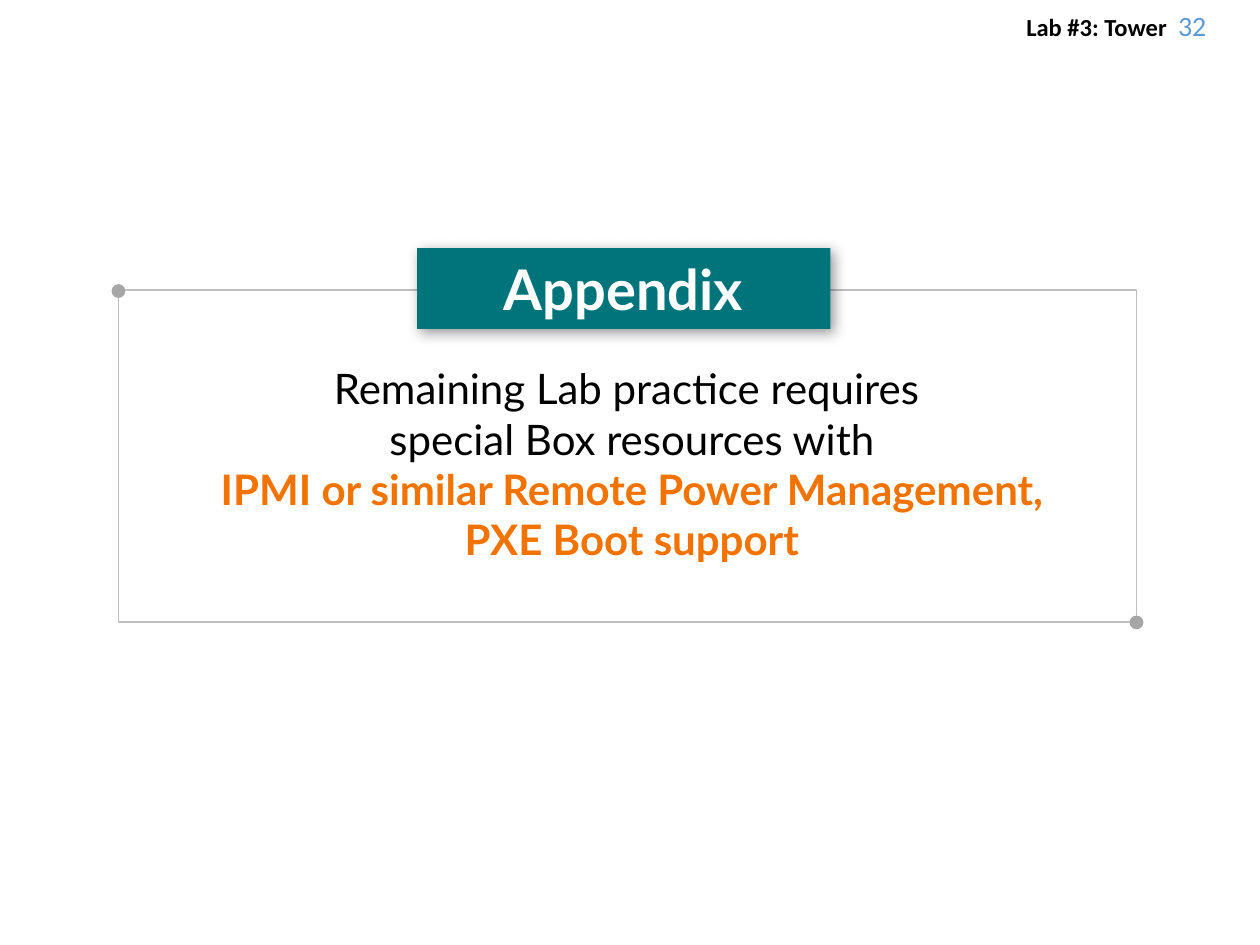
import pptx
import pptx.dml.color
import pptx.enum.shapes
import pptx.enum.text
import pptx.oxml
import pptx.oxml.ns
import pptx.util

RGBColor = pptx.dml.color.RGBColor
BLACK = RGBColor(0x00, 0x00, 0x00)
WHITE = RGBColor(0xFF, 0xFF, 0xFF)
BLUE = RGBColor(0x5B, 0x9B, 0xD5)
ORANGE = RGBColor(0xF2, 0x73, 0x00)
TEAL = RGBColor(0x00, 0x74, 0x7B)
FRAME_GRAY = RGBColor(0xBF, 0xBF, 0xBF)
DOT_GRAY = RGBColor(0xA6, 0xA6, 0xA6)

COLUMNS, ROWS = 100, 75
RECTANGLE = pptx.enum.shapes.MSO_SHAPE.RECTANGLE
OVAL = pptx.enum.shapes.MSO_SHAPE.OVAL
TOP = pptx.enum.text.MSO_ANCHOR.TOP
MIDDLE = pptx.enum.text.MSO_ANCHOR.MIDDLE


class SlideBuilder:
    """Places styled elements on a grid of COLUMNS by ROWS cells."""

    def __init__(self, presentation):
        self.slide = presentation.slides.add_slide(presentation.slide_layouts[6])
        self.column = presentation.slide_width / COLUMNS
        self.row = presentation.slide_height / ROWS

    def place(self, left, top, width, height):
        return (round(left * self.column), round(top * self.row),
                round(width * self.column), round(height * self.row))

    def fill_text(self, shape, paragraphs, font_name, anchor):
        """Fill a shape with paragraphs, each a list of (text, size, colour, bold)."""
        frame = shape.text_frame
        frame.word_wrap = True
        frame.vertical_anchor = anchor
        for index, runs in enumerate(paragraphs):
            paragraph = frame.add_paragraph() if index else frame.paragraphs[0]
            paragraph.alignment = pptx.enum.text.PP_ALIGN.CENTER
            for text, size, color, bold in runs:
                run = paragraph.add_run()
                run.text = text
                run.font.name = font_name
                run.font.size = pptx.util.Pt(size)
                run.font.color.rgb = color
                run.font.bold = bold

    def text(self, box, paragraphs, font_name, anchor=TOP):
        shape = self.slide.shapes.add_textbox(*self.place(*box))
        self.fill_text(shape, paragraphs, font_name, anchor)

    def shape(self, kind, box, fill=None, line=None):
        shape = self.slide.shapes.add_shape(kind, *self.place(*box))
        shape.shadow.inherit = False
        if fill is None:
            shape.fill.background()
        else:
            shape.fill.solid()
            shape.fill.fore_color.rgb = fill
        if line is None:
            shape.line.fill.background()
        else:
            shape.line.color.rgb = line
            shape.line.width = pptx.util.Pt(1)
        return shape

    def dot(self, center_x, center_y, size=1.1):
        box = (center_x - size / 2, center_y - size / 2, size, size)
        self.shape(OVAL, box, fill=DOT_GRAY)

    def banner(self, box, title):
        shape = self.shape(RECTANGLE, box, fill=TEAL)
        self.add_shadow(shape)
        self.fill_text(shape, [[(title, 32, WHITE, True)]], "Lato", MIDDLE)

    def add_shadow(self, shape, blur=8, distance=3, angle=45, opacity=40):
        effects = shape._element.spPr.find(pptx.oxml.ns.qn("a:effectLst"))
        effects.append(pptx.oxml.parse_xml(
            f'<a:outerShdw {pptx.oxml.ns.nsdecls("a")} blurRad="{pptx.util.Pt(blur)}" '
            f'dist="{pptx.util.Pt(distance)}" dir="{angle * 60000}" algn="tl" '
            f'rotWithShape="0"><a:srgbClr val="{BLACK}">'
            f'<a:alpha val="{opacity * 1000}"/></a:srgbClr></a:outerShdw>'))


def main():
    presentation = pptx.Presentation()
    presentation.slide_width = pptx.util.Inches(10)
    presentation.slide_height = pptx.util.Inches(7.5)
    builder = SlideBuilder(presentation)

    header = [("Lab #3: Tower  ", 14, BLACK, True), ("32", 16, BLUE, False)]
    builder.text((77.2, 0, 22.8, 4), [header], "Calibri", MIDDLE)

    message = [
        [("Remaining Lab practice requires ", 24, BLACK, False)],
        [("special Box resources with", 24, BLACK, False)],
        [("IPMI or similar Remote Power Management, PXE Boot support",
          24, ORANGE, True)],
    ]
    builder.text((15.1, 28.3, 70.1, 10.2), message, "Lato")

    left, top, width, height = frame = (9.4, 23, 80.8, 26.4)
    builder.shape(RECTANGLE, frame, line=FRAME_GRAY)
    builder.dot(left, top + 0.1)
    builder.dot(left + width, top + height)
    builder.banner((33.1, 19.7, 32.8, 6.4), "Appendix")

    presentation.save("out.pptx")


if __name__ == "__main__":
    main()
